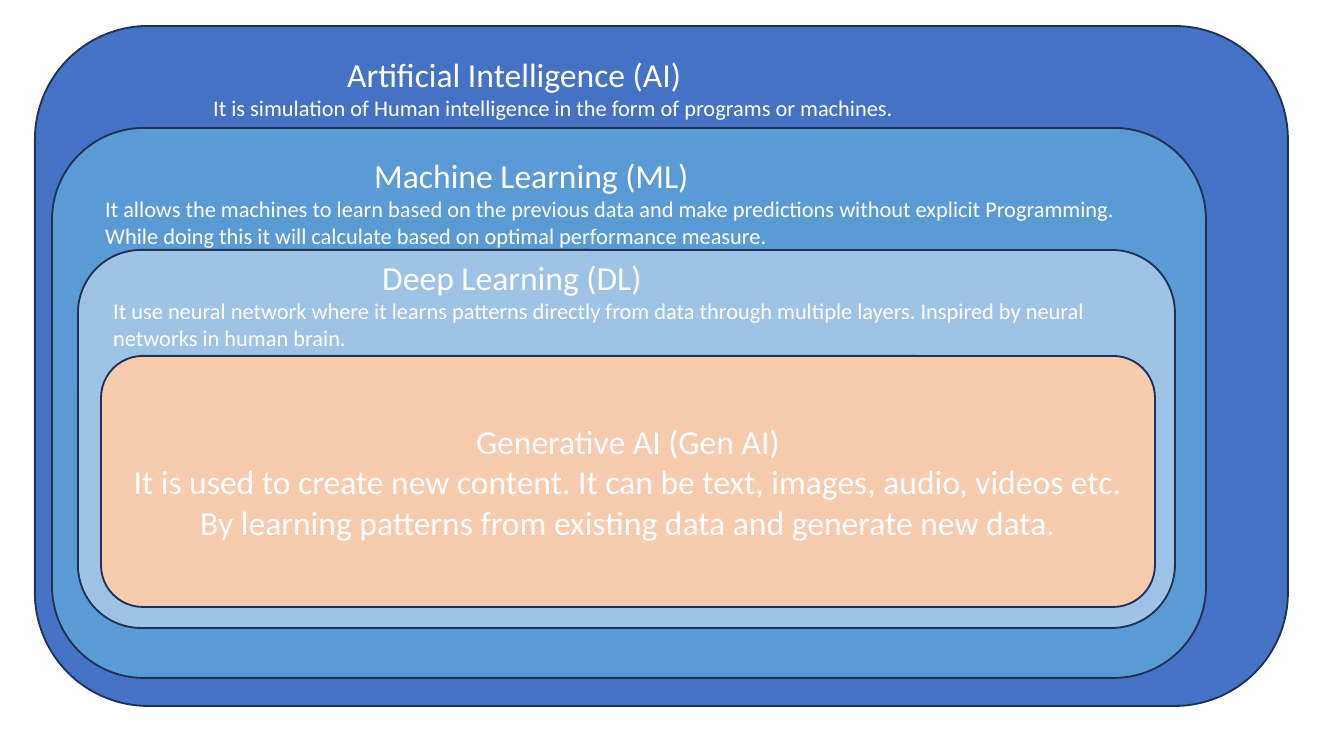
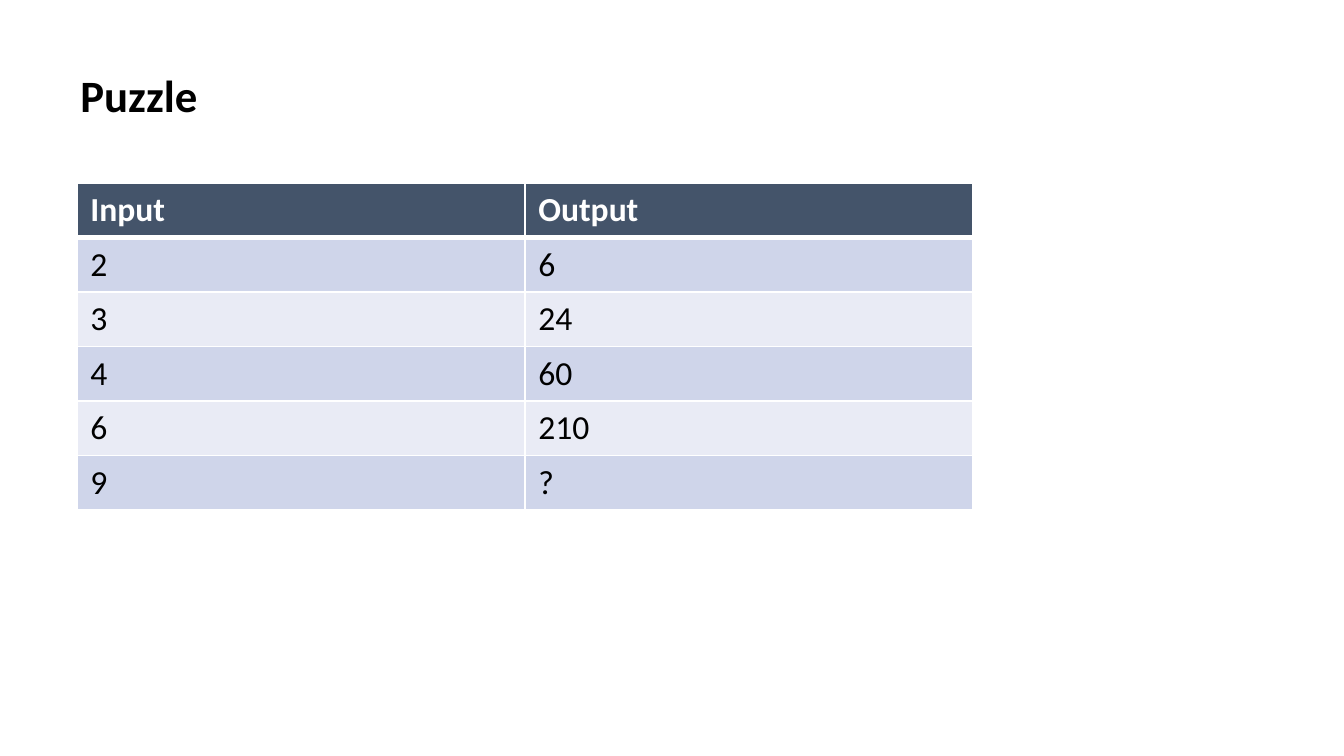
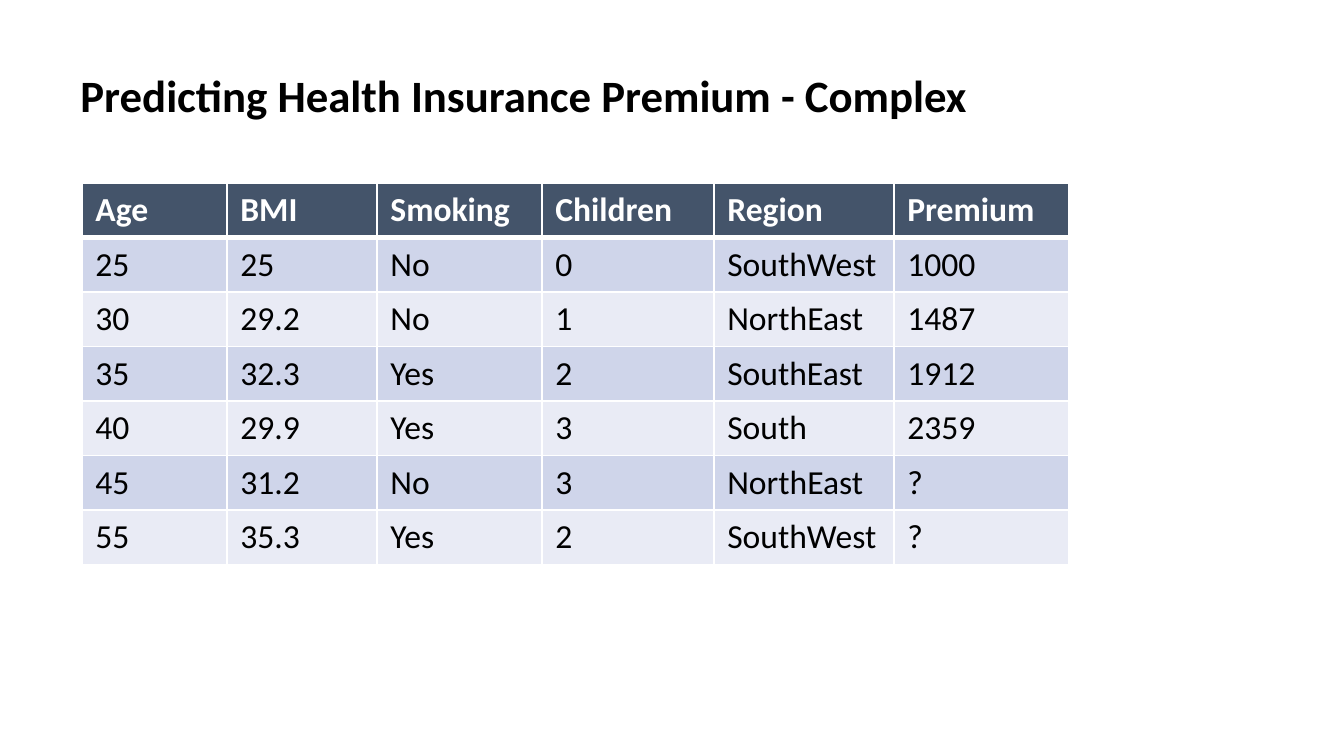
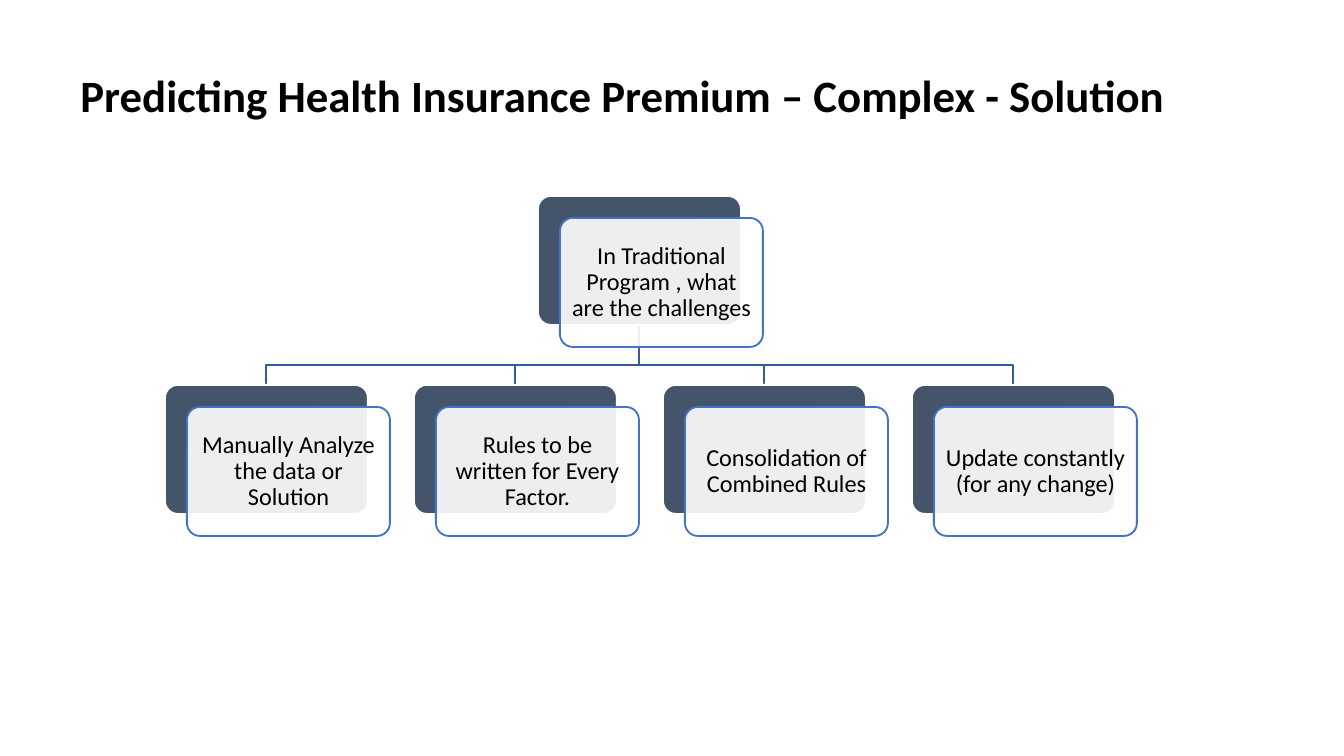
from lxml.etree import SubElement
from pptx import Presentation
from pptx.dml.color import RGBColor
from pptx.enum.shapes import MSO_SHAPE
from pptx.enum.text import MSO_ANCHOR, MSO_AUTO_SIZE, PP_ALIGN
from pptx.oxml.ns import qn
from pptx.util import Emu, Pt

FONT = "Calibri"
WHITE, BLACK, SLATE, BLUE = "FFFFFF", "000000", "44546A", "4472C4"
LAYER_LINE, TREE_LINE = "1E3256", "365B9D"
BANDS = ("CFD5EA", "E9EBF5")
TITLE_BOX = (67, 34, 1210, 121)
TABLE_TOP, ROW_HEIGHT = 183, 54

LAYERS = [
    {"box": (35, 26, 1253, 680), "fill": BLUE,
     "text_box": (200, 47, 921, 82), "indent": 134,
     "heading": "Artificial Intelligence (AI)",
     "detail": "It is simulation of Human intelligence in the form of programs or machines."},
    {"box": (52, 128, 1154, 550), "fill": "5B9BD5",
     "text_box": (92, 148, 1044, 109), "indent": 269,
     "heading": "Machine Learning (ML)",
     "detail": "It allows the machines to learn based on the previous data and make predictions "
               "without explicit Programming. While doing this it will calculate based on optimal "
               "performance measure."},
    {"box": (78, 250, 1097, 378), "fill": "9DC3E6",
     "text_box": (100, 250, 1054, 109), "indent": 269,
     "heading": "Deep Learning (DL)",
     "detail": "It use neural network where it learns patterns directly from data through multiple "
               "layers. Inspired by neural networks in human brain."},
]
CORE_BOX, CORE_FILL = (101, 356, 1054, 251), "F8CBAD"
CORE_LINES = [
    "Generative AI (Gen AI)",
    "It is used to create new content. It can be text, images, audio, videos etc.",
    "By learning patterns from existing data and generate new data.",
]

TABLES = [
    {"title": "Puzzle", "left": 77, "columns": (448, 448), "rows": [
        ("Input", "Output"),
        ("2", "6"),
        ("3", "24"),
        ("4", "60"),
        ("6", "210"),
        ("9", "?"),
    ]},
    {"title": "Predicting Health Insurance Premium - Complex", "left": 82,
     "columns": (145, 150, 165, 172, 180, 175), "rows": [
        ("Age", "BMI", "Smoking", "Children", "Region", "Premium"),
        ("25", "25", "No", "0", "SouthWest", "1000"),
        ("30", "29.2", "No", "1", "NorthEast", "1487"),
        ("35", "32.3", "Yes", "2", "SouthEast", "1912"),
        ("40", "29.9", "Yes", "3", "South", "2359"),
        ("45", "31.2", "No", "3", "NorthEast", "?"),
        ("55", "35.3", "Yes", "2", "SouthWest", "?"),
    ]},
]

TREE_TITLE = "Predicting Health Insurance Premium – Complex - Solution"
QUESTION = "In Traditional Program , what are the challenges"
CHALLENGES = [
    "Manually Analyze the data or Solution",
    "Rules to be written for Every Factor.",
    "Consolidation of Combined Rules",
    "Update constantly (for any change)",
]
TREE_LEFT, QUESTION_TOP, CHALLENGE_TOP = 165, 196, 385
CARD_WIDTH, CARD_HEIGHT, CARD_PITCH = 203, 129, 249
CARD_SHIFT, BRANCH_Y = 22, 365


def px(length):
    return Emu(round(length * 914400 / 134.4))


def scaled(box):
    return [px(length) for length in box]


def color(value):
    return RGBColor.from_string(value)


def format_paragraph(paragraph, text, size, text_color, bold=False, align=PP_ALIGN.LEFT):
    paragraph.text = text
    paragraph.alignment = align
    paragraph.font.name = FONT
    paragraph.font.size = Pt(size)
    paragraph.font.bold = bold
    paragraph.font.color.rgb = color(text_color)


def fill_with(target, value):
    target.fill.solid()
    target.fill.fore_color.rgb = color(value)


def outline(shape, value):
    shape.line.color.rgb = color(value)
    shape.line.width = Pt(1)
    shape.shadow.inherit = False


def add_rounded(slide, box, fill, line):
    shape = slide.shapes.add_shape(MSO_SHAPE.ROUNDED_RECTANGLE, *scaled(box))
    fill_with(shape, fill)
    outline(shape, line)
    return shape


def add_titled_slide(presentation, text):
    slide = presentation.slides.add_slide(presentation.slide_layouts[5])
    title = slide.shapes.title
    title.left, title.top, title.width, title.height = scaled(TITLE_BOX)
    title.text_frame.auto_size = MSO_AUTO_SIZE.NONE
    title.text_frame.vertical_anchor = MSO_ANCHOR.MIDDLE
    format_paragraph(title.text_frame.paragraphs[0], text, 24, BLACK, bold=True)
    return slide


def build_layers(presentation):
    slide = presentation.slides.add_slide(presentation.slide_layouts[6])
    for layer in LAYERS:
        add_rounded(slide, layer["box"], layer["fill"], LAYER_LINE)
        frame = slide.shapes.add_textbox(*scaled(layer["text_box"])).text_frame
        frame.word_wrap = True
        heading = frame.paragraphs[0]
        format_paragraph(heading, layer["heading"], 18, WHITE)
        heading._p.get_or_add_pPr().set("indent", str(px(layer["indent"])))
        format_paragraph(frame.add_paragraph(), layer["detail"], 12, WHITE)
    frame = add_rounded(slide, CORE_BOX, CORE_FILL, LAYER_LINE).text_frame
    frame.word_wrap = True
    frame.vertical_anchor = MSO_ANCHOR.MIDDLE
    for index, line in enumerate(CORE_LINES):
        paragraph = frame.add_paragraph() if index else frame.paragraphs[0]
        format_paragraph(paragraph, line, 18, WHITE, align=PP_ALIGN.CENTER)


def set_borders(cell, widths):
    properties = cell._tc.get_or_add_tcPr()
    for index, (side, width) in enumerate(widths.items()):
        border = properties.makeelement(qn(f"a:ln{side}"), {"w": str(Pt(width))})
        fill = SubElement(border, qn("a:solidFill"))
        SubElement(fill, qn("a:srgbClr"), val=WHITE)
        properties.insert(index, border)


def build_table(presentation, content):
    slide = add_titled_slide(presentation, content["title"])
    rows, columns = content["rows"], content["columns"]
    box = (content["left"], TABLE_TOP, sum(columns), ROW_HEIGHT * len(rows))
    table = slide.shapes.add_table(len(rows), len(columns), *scaled(box)).table
    for column, width in zip(table.columns, columns):
        column.width = px(width)
    for row_index, values in enumerate(rows):
        header = row_index == 0
        table.rows[row_index].height = px(ROW_HEIGHT)
        for column_index, value in enumerate(values):
            cell = table.cell(row_index, column_index)
            fill_with(cell, SLATE if header else BANDS[(row_index - 1) % 2])
            set_borders(cell, {"L": 1, "R": 1, "T": 3 if row_index == 1 else 1,
                               "B": 3 if header else 1})
            format_paragraph(cell.text_frame.paragraphs[0], value, 18,
                             WHITE if header else BLACK, bold=header)


def add_card(slide, left, top, text):
    back = add_rounded(slide, (left, top, CARD_WIDTH, CARD_HEIGHT), SLATE, WHITE)
    front = add_rounded(slide, (left + CARD_SHIFT, top + CARD_SHIFT, CARD_WIDTH, CARD_HEIGHT),
                        WHITE, BLUE)
    for shape in (back, front):
        shape.adjustments[0] = 0.1
    fill_color = front.fill._xPr.find(qn("a:solidFill"))[0]
    SubElement(fill_color, qn("a:alpha"), val="90000")
    frame = front.text_frame
    frame.word_wrap = True
    frame.vertical_anchor = MSO_ANCHOR.MIDDLE
    frame.margin_left = frame.margin_right = frame.margin_top = frame.margin_bottom = px(6)
    paragraph = frame.paragraphs[0]
    format_paragraph(paragraph, text, 13, BLACK, align=PP_ALIGN.CENTER)
    paragraph.line_spacing = 0.9


def add_branch(slide, start_x, end_x):
    builder = slide.shapes.build_freeform(start_x, QUESTION_TOP + CARD_HEIGHT, scale=px(1))
    builder.add_line_segments(
        [(start_x, BRANCH_Y), (end_x, BRANCH_Y), (end_x, CHALLENGE_TOP)], close=False)
    branch = builder.convert_to_shape()
    branch.fill.background()
    outline(branch, TREE_LINE)


def build_tree(presentation):
    slide = add_titled_slide(presentation, TREE_TITLE)
    lefts = [TREE_LEFT + index * CARD_PITCH for index in range(len(CHALLENGES))]
    question_left = (lefts[0] + lefts[-1]) // 2
    for left in lefts:
        add_branch(slide, question_left + CARD_WIDTH // 2, left + CARD_WIDTH // 2)
    add_card(slide, question_left, QUESTION_TOP, QUESTION)
    for left, challenge in zip(lefts, CHALLENGES):
        add_card(slide, left, CHALLENGE_TOP, challenge)


def main():
    presentation = Presentation()
    presentation.slide_width, presentation.slide_height = px(1344), px(756)
    build_layers(presentation)
    for content in TABLES:
        build_table(presentation, content)
    build_tree(presentation)
    presentation.save("out.pptx")


if __name__ == "__main__":
    main()
